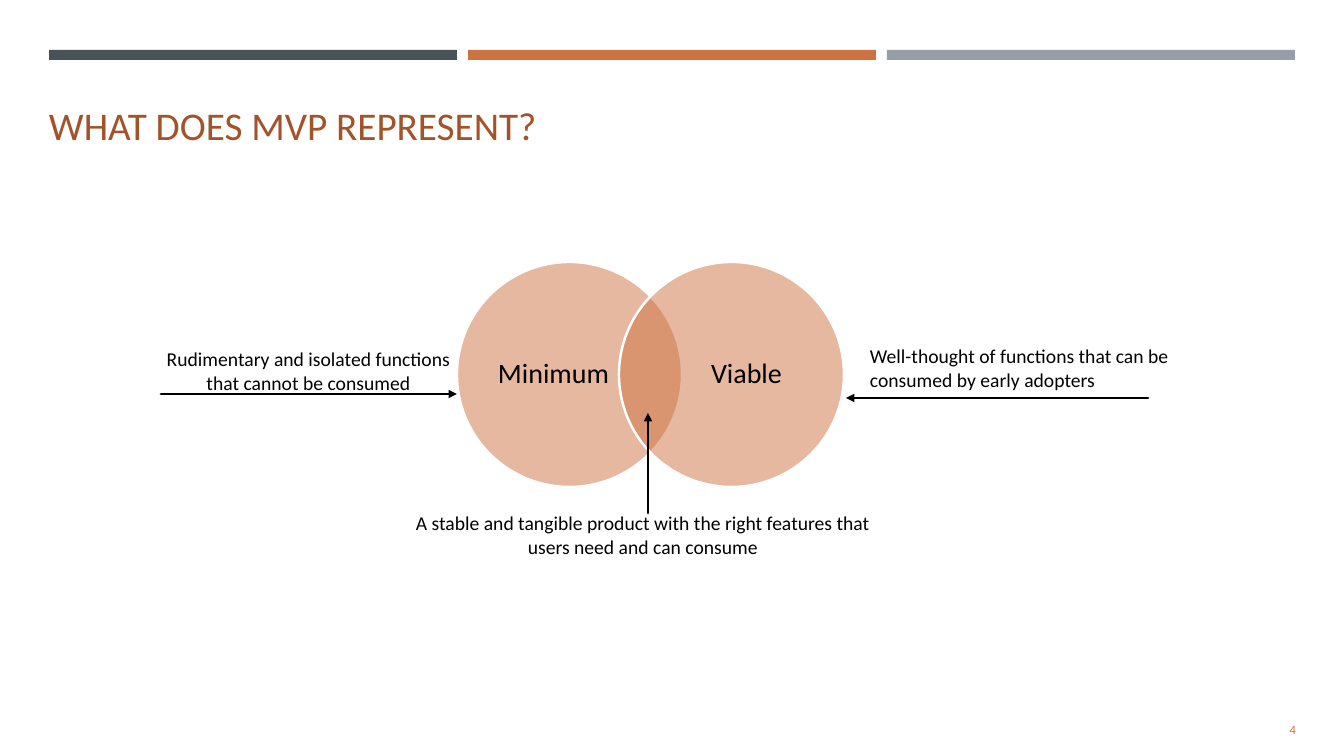
from lxml import etree
from pptx import Presentation
from pptx.dml.color import RGBColor
from pptx.enum import shapes, text
from pptx.oxml.ns import qn
from pptx import util as u

# Content, lengths in px
SLIDE = (1344, 756)
FONT = "Calibri"
BLACK, WHITE, ORANGE, RUST = "000000", "FFFFFF", "CE7242", "A2532A"
TITLE = ("WHAT DOES MVP REPRESENT?", (39, 50, 619, 103))
PAGE_NUMBER = ("4", (1190, 709, 116, 40))
BAR_COLORS = ["465359", ORANGE, "969FA7"]
BAR_LEFT, BAR_TOP, BAR_WIDTH, BAR_HEIGHT, BAR_GAP = 49, 50, 408, 10, 11
CIRCLE_TOP, CIRCLE_SIZE = 262, 225
LABEL_SIZE = (129, 171)
CIRCLES = [  # label, circle left, label left
    ("Minimum", 457, 489),
    ("Viable", 619, 682),
]
NOTES = [  # text, box, alignment, arrow start, arrow end
    ("Rudimentary and isolated functions that cannot be consumed",
     (161, 347, 295, 47), "CENTER", (161, 394), (457, 394)),
    ("Well-thought of functions that can be consumed by early adopters",
     (870, 344, 302, 47), "LEFT", (1148, 398), (846, 398)),
    ("A stable and tangible product with the right features that users need and can consume",
     (415, 511, 456, 47), "CENTER", (648, 513), (648, 413)),
]

SCALE = u.Inches(1) / 100.8


def px(*lengths):
    return [round(length * SCALE) for length in lengths]


def rgb(color):
    return RGBColor.from_string(color)


def add_text(slide, words, box, size, color=BLACK, align="LEFT", anchor="TOP",
             inset=(0, 0), spacing=None):
    frame = slide.shapes.add_textbox(*px(*box)).text_frame
    frame.word_wrap = True
    frame.vertical_anchor = text.MSO_ANCHOR[anchor]
    frame.margin_left, frame.margin_top = frame.margin_right, frame.margin_bottom = px(*inset)
    paragraph = frame.paragraphs[0]
    paragraph.alignment = text.PP_ALIGN[align]
    paragraph.line_spacing = spacing
    run = paragraph.add_run()
    run.text = words
    run.font.name, run.font.size = FONT, u.Pt(size)
    run.font.color.rgb = rgb(color)


def add_filled(slide, preset, box, color, opacity=100, outline=None):
    shape = slide.shapes.add_shape(preset, *px(*box))
    shape.shadow.inherit = False
    shape.fill.solid()
    shape.fill.fore_color.rgb = rgb(color)
    if opacity < 100:
        fill = shape.fill._xPr.find(qn("a:solidFill"))
        etree.SubElement(fill[0], qn("a:alpha"), val=str(opacity * 1000))
    if outline:
        shape.line.color.rgb = rgb(outline)
        shape.line.width = u.Pt(1.75)
    else:
        shape.line.fill.background()


def add_arrow(slide, start, end):
    arrow = slide.shapes.add_connector(shapes.MSO_CONNECTOR.STRAIGHT, *px(*start, *end))
    arrow.line.color.rgb = rgb(BLACK)
    arrow.line.width = u.Pt(2)
    line = arrow.line._get_or_add_ln()
    line.set("cap", "rnd")
    etree.SubElement(line, qn("a:tailEnd"), type="triangle")
    etree.SubElement(arrow._element.spPr, qn("a:effectLst"))


def main():
    deck = Presentation()
    deck.slide_width, deck.slide_height = px(*SLIDE)
    slide = deck.slides.add_slide(deck.slide_layouts[6])

    # Top bars
    for i, color in enumerate(BAR_COLORS):
        left = BAR_LEFT + i * (BAR_WIDTH + BAR_GAP)
        add_filled(slide, shapes.MSO_SHAPE.RECTANGLE,
                   (left, BAR_TOP, BAR_WIDTH, BAR_HEIGHT), color)

    # Title and page number
    add_text(slide, *TITLE, 28, color=RUST, anchor="BOTTOM", inset=(10, 5))
    add_text(slide, *PAGE_NUMBER, 9, color=ORANGE, align="RIGHT", anchor="MIDDLE", inset=(10, 5))

    # Overlapping circles, labels centred on their height
    label_top = CIRCLE_TOP + (CIRCLE_SIZE - LABEL_SIZE[1]) // 2
    for label, circle_left, label_left in CIRCLES:
        add_filled(slide, shapes.MSO_SHAPE.OVAL,
                   (circle_left, CIRCLE_TOP, CIRCLE_SIZE, CIRCLE_SIZE),
                   ORANGE, opacity=50, outline=WHITE)
        add_text(slide, label, (label_left, label_top, *LABEL_SIZE), 20,
                 align="CENTER", anchor="MIDDLE", spacing=0.9)

    # Notes with arrows
    for note, box, align, start, end in NOTES:
        add_text(slide, note, box, 14, align=align)
        add_arrow(slide, start, end)

    deck.save("out.pptx")


if __name__ == "__main__":
    main()
